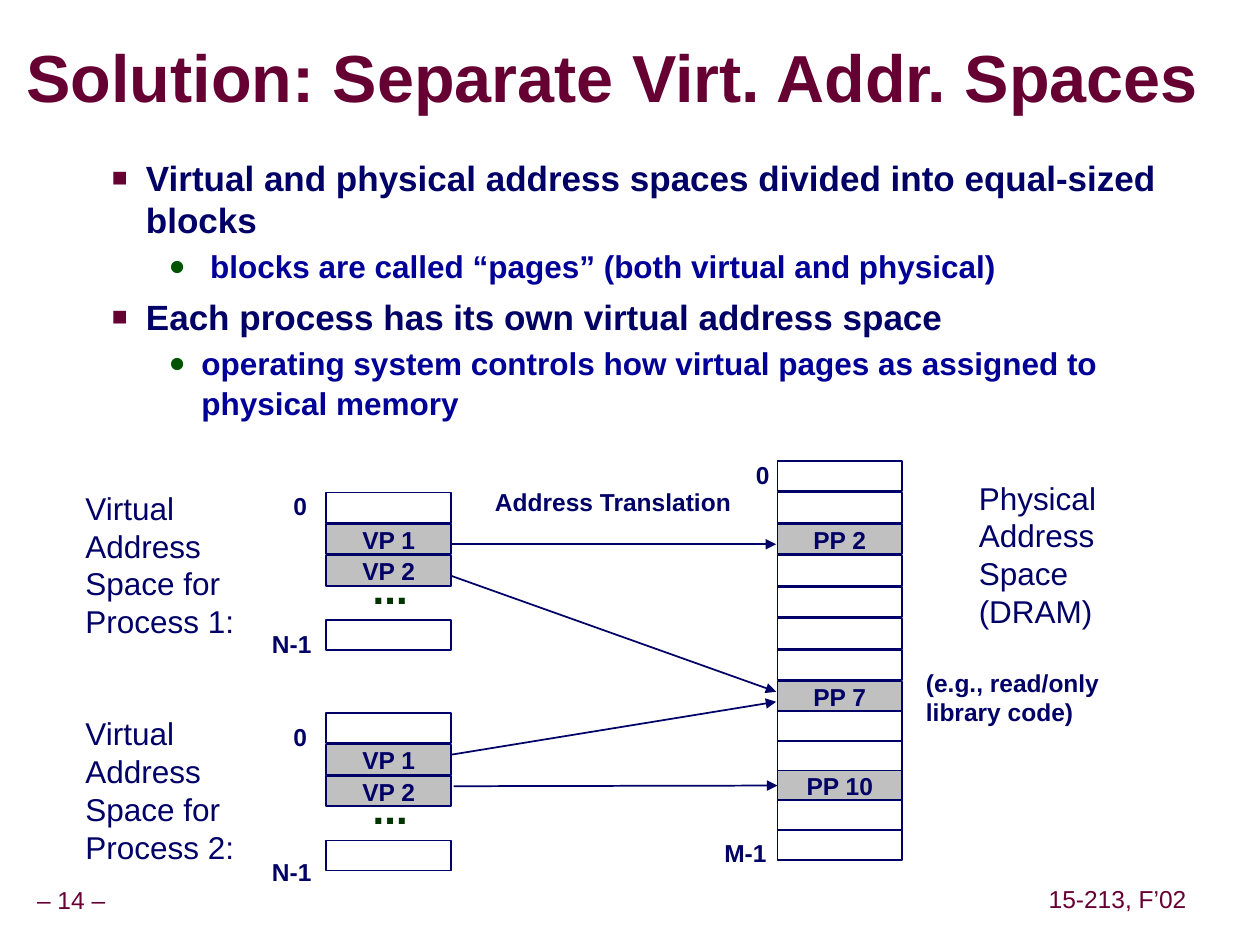
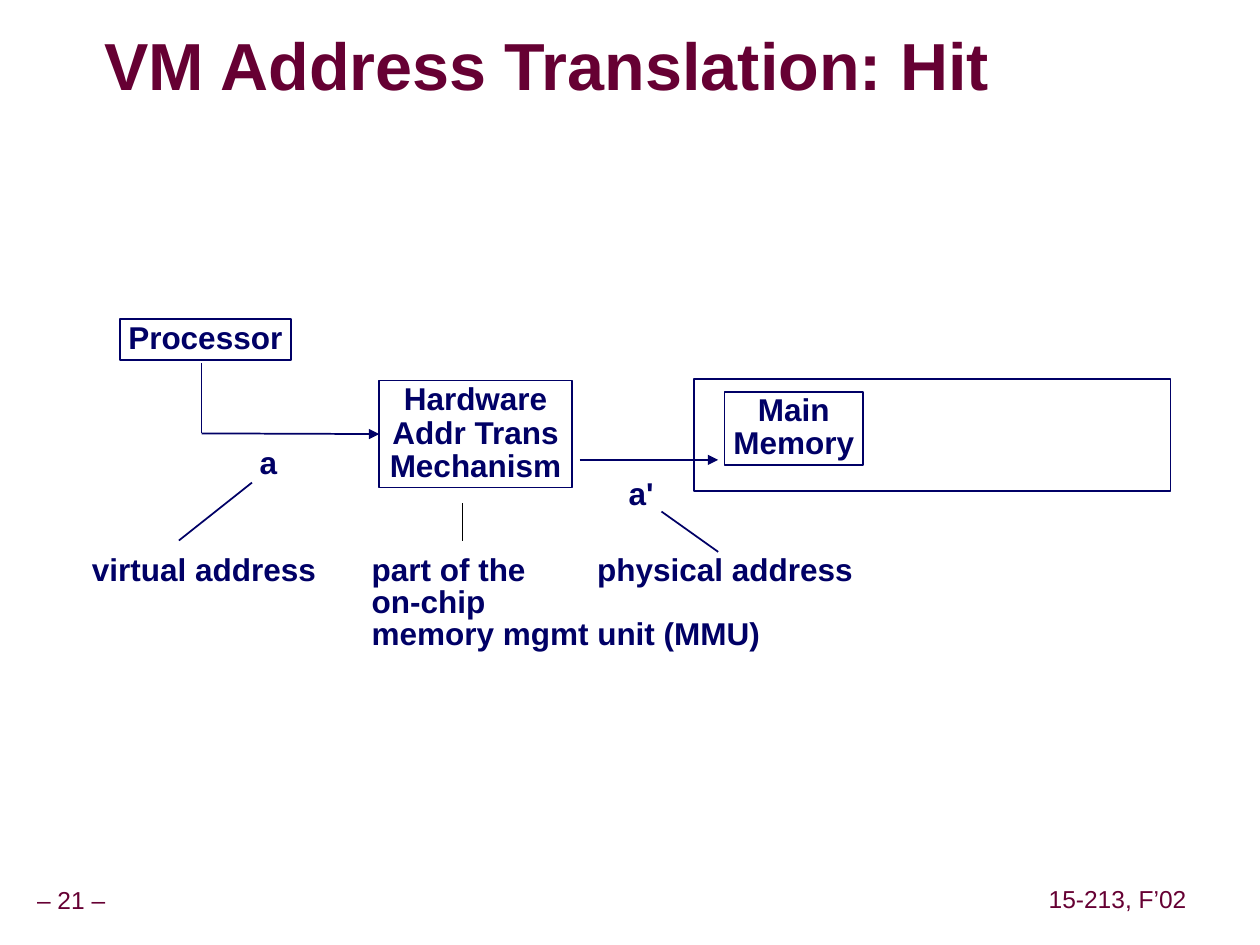
from dataclasses import dataclass
from typing import Any

from lxml.etree import SubElement
from pptx import Presentation
from pptx.dml.color import RGBColor
from pptx.enum.shapes import MSO_CONNECTOR, MSO_SHAPE
from pptx.enum.text import MSO_ANCHOR, MSO_AUTO_SIZE, PP_ALIGN
from pptx.oxml import parse_xml
from pptx.oxml.ns import nsdecls, qn
from pptx.util import Inches, Pt

FONT = "Arial"
NAVY, MAROON, BLUE = "000066", "660033", "000099"
GREEN, DARK_GREEN = "005400", "003300"
GRAY, WHITE, BLACK = "C0C0C0", "FFFFFF", "000000"
SLIDE_WIDTH, SLIDE_HEIGHT = Inches(10), Inches(7.5)
COLUMN, ROW = SLIDE_WIDTH / 100, SLIDE_HEIGHT / 75
TITLE_ONLY = 5
WIDE_INSETS = (0.1, 0.05)
NARROW_INSETS = (0.07, 0.03)
PAGE_WIDTH, PAGE_HEIGHT, PAGE_PITCH, LOWER_PITCH = 9.9, 2.4, 2.5, 2.35


def color(hex_string):
    return RGBColor.from_string(hex_string)


def style_runs(paragraph, size, hex_string, bold):
    for run in paragraph.runs:
        run.font.name = FONT
        run.font.size = Pt(size)
        run.font.bold = bold
        run.font.color.rgb = color(hex_string)


def write(shape, text, size=18, hex_string=NAVY, bold=True, align=PP_ALIGN.LEFT,
          spacing=None, anchor=MSO_ANCHOR.TOP, insets=WIDE_INSETS, wrap=False):
    frame = shape.text_frame
    frame.text = text
    frame.word_wrap = wrap
    frame.auto_size = MSO_AUTO_SIZE.NONE
    frame.vertical_anchor = anchor
    frame.margin_left = frame.margin_right = Inches(insets[0])
    frame.margin_top = frame.margin_bottom = Inches(insets[1])
    for paragraph in frame.paragraphs:
        paragraph.alignment = align
        paragraph.line_spacing = spacing
        style_runs(paragraph, size, hex_string, bold)


@dataclass
class Region:
    slide: Any
    left: float = 0
    top: float = 0

    def point(self, column, row):
        return round((self.left + column) * COLUMN), round((self.top + row) * ROW)

    def place(self, box):
        column, row, width, height = box
        return *self.point(column, row), round(width * COLUMN), round(height * ROW)

    def rectangle(self, box, fill=None, text="", **text_style):
        shape = self.slide.shapes.add_shape(MSO_SHAPE.RECTANGLE, *self.place(box))
        shape.shadow.inherit = False
        if fill:
            shape.fill.solid()
            shape.fill.fore_color.rgb = color(fill)
        else:
            shape.fill.background()
        shape.line.color.rgb = color(NAVY)
        shape.line.width = Pt(1)
        if text:
            write(shape, text, align=PP_ALIGN.CENTER, anchor=MSO_ANCHOR.MIDDLE, **text_style)
        return shape

    def label(self, box, text, **text_style):
        shape = self.slide.shapes.add_textbox(*self.place(box))
        write(shape, text, **text_style)
        return shape

    def line(self, start, finish, arrow=False, target=None, hex_string=NAVY, width=1):
        connector = self.slide.shapes.add_connector(
            MSO_CONNECTOR.STRAIGHT, *self.point(*start), *self.point(*finish))
        if target:
            connector.end_connect(target, 1)
        connector.line.color.rgb = color(hex_string)
        connector.line.width = Pt(width)
        if arrow:
            SubElement(connector.line._get_or_add_ln(), qn("a:tailEnd"), type="triangle")
        SubElement(connector._element.spPr, qn("a:effectLst"))

    def page(self, column, row, name=""):
        return self.rectangle((column, row, PAGE_WIDTH, PAGE_HEIGHT),
                              GRAY if name else WHITE, name, size=14)


def add_title(slide, box, text):
    title = slide.shapes.title
    title.left, title.top, title.width, title.height = Region(slide).place(box)
    write(title, text, 38, MAROON, spacing=0.87, anchor=MSO_ANCHOR.MIDDLE,
          insets=(0, 0), wrap=True)
    for run in title.text_frame.paragraphs[0].runs:
        run.font._element.find(qn("a:solidFill")).addnext(parse_xml(
            f'<a:effectLst {nsdecls("a")}><a:outerShdw dist="53882" dir="2700000">'
            '<a:srgbClr val="969696"/></a:outerShdw></a:effectLst>'))


def add_footer(slide, number):
    footer = Region(slide, 0, 69.9)
    style = dict(size=14, hex_string=MAROON, bold=False, align=PP_ALIGN.CENTER,
                 spacing=0.9, anchor=MSO_ANCHOR.MIDDLE, insets=(0.05, 0.05))
    footer.label((-0.9, 0.1, 13.1, 3.1), f"– {number} –", **style)
    footer.label((82.7, 0, 12, 3.1), "15-213, F’02", **style)


def add_slide(presentation, number, title_box, title):
    slide = presentation.slides.add_slide(presentation.slide_layouts[TITLE_ONLY])
    add_title(slide, title_box, title)
    add_footer(slide, number)
    return slide


def add_bullet(paragraph, character, hex_string, percent, margin, indent):
    properties = paragraph._p.get_or_add_pPr()
    properties.set("marL", str(Inches(margin)))
    properties.set("indent", str(Inches(indent)))
    bullet_color = SubElement(properties, qn("a:buClr"))
    SubElement(bullet_color, qn("a:srgbClr"), val=hex_string)
    SubElement(properties, qn("a:buSzPct"), val=str(percent * 1000))
    SubElement(properties, qn("a:buFont"), typeface=FONT)
    SubElement(properties, qn("a:buChar"), char=character)


def add_points(region, box, points):
    shape = region.label(box, "\n".join(text for _, text, _ in points), wrap=True)
    for index, (level, _, extra) in enumerate(points):
        paragraph = shape.text_frame.paragraphs[index]
        if level == 1:
            add_bullet(paragraph, "■", MAROON, 75, 0.81, -0.27)
            style_runs(paragraph, 20, NAVY, True)
            paragraph.space_before = Pt(6.2 if index else 0)
        else:
            add_bullet(paragraph, "●", GREEN, 90, 1.25 + extra, -0.26 - extra)
            style_runs(paragraph, 18, BLUE, True)
            paragraph.space_before = Pt(2.2)
            paragraph.line_spacing = 1.07


def add_process(region, number, name_row, first_row, last_row):
    region.label((0, name_row, 15, 13), f"Virtual Address Space for Process {number}:",
                 bold=False, wrap=True)
    for index, name in enumerate(["", "VP 1", "VP 2"]):
        region.page(20.1, index * PAGE_PITCH, name)
    region.page(20.1, 10.1)
    region.label((22.8, 5.5, 4.8, 4.6), "...", size=24, hex_string=DARK_GREEN, spacing=0.9)
    region.label((16.5, first_row, 3.1, 3.3), "0", size=14)
    region.label((14.8, last_row, 5.1, 3.3), "N-1", size=14)


def add_physical_memory(region):
    names = {2: "PP 2", 7: "PP 7", 10: "PP 10"}
    pages = []
    for index in range(13):
        row = min(index, 7) * PAGE_PITCH + max(index - 7, 0) * LOWER_PITCH
        pages.append(region.page(5.2, row, names.get(index, "")))
    region.label((2.5, -0.6, 3.1, 3.3), "0", size=14)
    region.label((0, 29.4, 5.3, 3.3), "M-1", size=14)
    region.label((20.2, 0.9, 11.7, 13), "Physical\nAddress\nSpace (DRAM)",
                 bold=False, wrap=True)
    region.label((16, 15.9, 18.2, 5.6), "(e.g., read/only library code)", size=14, wrap=True)
    return pages


def add_translation_arrows(region, shared_page_two):
    region.label((2.5, 0, 20.8, 3.3), "Address Translation", size=14, wrap=True)
    region.line((0.1, 5), (25.8, 5), arrow=True)
    region.line((0, 7.5), (25.8, 16.7), arrow=True)
    region.line((0, 21.7), (25.8, 17.5), arrow=True)
    region.line((0.2, 24.2), (25.9, 24.2), arrow=True, target=shared_page_two)


def build_separate_spaces(presentation):
    slide = add_slide(presentation, 14, (2.1, 3.3, 97.9, 6.3),
                      "Solution: Separate Virt. Addr. Spaces")
    add_points(Region(slide, 2.5, 11.9), (0, 0, 95.8, 23), [
        (1, "Virtual and physical address spaces divided into equal-sized blocks", 0),
        (2, "blocks are called “pages” (both virtual and physical)", 0.07),
        (1, "Each process has its own virtual address space", 0),
        (2, "operating system controls how virtual pages as assigned to physical memory", 0),
    ])
    add_process(Region(slide, 5.8, 39.1), 1, -0.8, -0.6, 10.3)
    add_process(Region(slide, 5.8, 56.6), 2, -0.4, 0.2, 10.9)
    pages = add_physical_memory(Region(slide, 56.5, 36.6))
    add_translation_arrows(Region(slide, 35.8, 38.2), pages[10])


def add_hardware_path(region):
    style = dict(insets=NARROW_INSETS, spacing=0.88)
    region.rectangle((0, 0, 13.6, 3.3), text="Processor", insets=NARROW_INSETS, spacing=0.92)
    mechanism = region.rectangle((20.6, 4.9, 15.3, 8.5),
                                 text="Hardware\nAddr Trans\nMechanism", wrap=True, **style)
    region.rectangle((48, 5.8, 11, 5.8), text="Main\nMemory", **style)
    region.rectangle((45.6, 4.8, 37.8, 8.9))
    region.line((36.5, 11.2), (47.5, 11.2), arrow=True)
    region.line((6.5, 3.5), (6.5, 9.1))
    region.line((6.5, 9.1), (20.6, 9.1), arrow=True, target=mechanism)


def add_address_notes(region):
    notes = [
        ((13.3, 0, 2.8, 3.1), "a"),
        ((42.6, 2.5, 3.4, 3.1), "a'"),
        ((0, 8.5, 19.2, 3.1), "virtual address"),
        ((40.1, 8.5, 21.7, 3.1), "physical address"),
        ((22.2, 8.5, 32.2, 8.2), "part of the\non-chip\nmemory mgmt unit (MMU)"),
    ]
    for box, text in notes:
        region.label(box, text, insets=NARROW_INSETS, spacing=0.85)
    region.line((7.6, 7.6), (13.4, 3))
    region.line((50.4, 8.5), (45.9, 5.3))
    region.line((30.1, 7.6), (30.1, 4.6), hex_string=BLACK, width=0.75)


def build_translation_hit(presentation):
    slide = add_slide(presentation, 21, (8.3, 2.5, 76.7, 6.1), "VM Address Translation: Hit")
    add_hardware_path(Region(slide, 9.5, 25.3))
    add_address_notes(Region(slide, 6.6, 35.3))


def main():
    presentation = Presentation()
    presentation.slide_width = SLIDE_WIDTH
    presentation.slide_height = SLIDE_HEIGHT
    build_separate_spaces(presentation)
    build_translation_hit(presentation)
    presentation.save("out.pptx")


if __name__ == "__main__":
    main()
